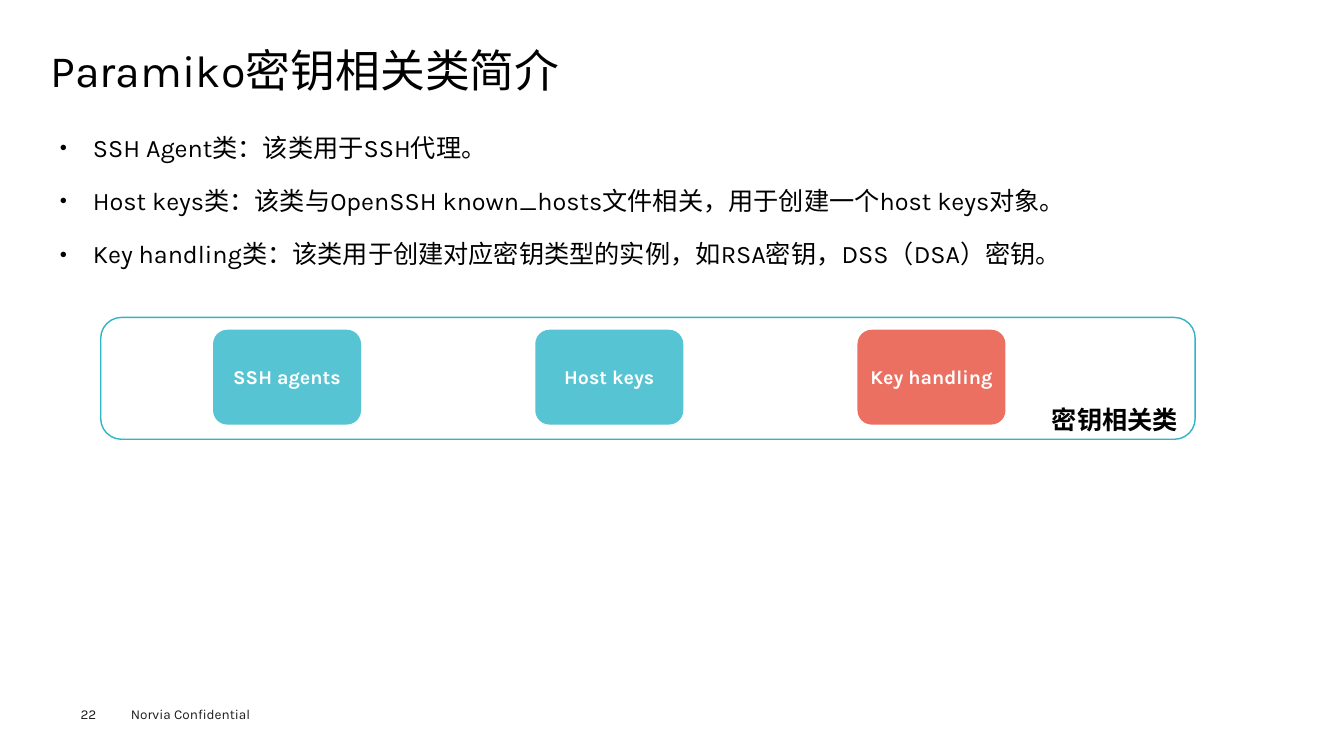
import pptx
import pptx.util
import pptx.dml.color
import pptx.enum.shapes
import pptx.enum.text
from lxml import etree
from pptx.oxml.ns import qn

Cm, Pt = pptx.util.Cm, pptx.util.Pt
ALIGN = pptx.enum.text.PP_ALIGN
ANCHOR = pptx.enum.text.MSO_ANCHOR
FONT = "Karla"
COLOURS = {
    "text": "000000",
    "footer": "1D1D1B",
    "white": "FFFFFF",
    "teal": "56C4D2",
    "coral": "EC7061",
    "frame": "30B5C5",
}
POINTS = [
    "SSH Agent类：该类用于SSH代理。",
    "Host keys类：该类与OpenSSH known_hosts文件相关，用于创建一个host keys对象。",
    "Key handling类：该类用于创建对应密钥类型的实例，如RSA密钥，DSS（DSA）密钥。",
]
KEY_CLASSES = [("SSH agents", "teal"), ("Host keys", "teal"), ("Key handling", "coral")]


def colour(name):
    return pptx.dml.color.RGBColor.from_string(COLOURS[name])


def place(shape, left, top, width, height):
    shape.left, shape.top = Cm(left), Cm(top)
    shape.width, shape.height = Cm(width), Cm(height)


def prepare_frame(shape, side=0, edge=0, anchor=ANCHOR.TOP):
    """Set margins (cm), wrapping and anchor, and return the text frame."""
    frame = shape.text_frame
    frame.word_wrap = True
    frame.auto_size = pptx.enum.text.MSO_AUTO_SIZE.NONE
    frame.vertical_anchor = anchor
    frame.margin_left = frame.margin_right = Cm(side)
    frame.margin_top = frame.margin_bottom = Cm(edge)
    return frame


def add_span(para, text, size, colour_name="text", bold=False):
    span = para.add_run()
    span.text = text
    span.font.name = FONT
    span.font.size = Pt(size)
    span.font.bold = bold
    span.font.color.rgb = colour(colour_name)


def add_bullet(para, char, percent, indent):
    properties = para._p.get_or_add_pPr()
    properties.set("marL", str(Cm(indent)))
    properties.set("indent", str(-Cm(indent)))
    size = etree.SubElement(properties, qn("a:buSzPct"))
    size.set("val", str(percent * 1000))
    etree.SubElement(properties, qn("a:buChar")).set("char", char)


def fill_title(title, text):
    place(title, 1.27, 1.24, 31.37, 1.35)
    para = prepare_frame(title).paragraphs[0]
    para.alignment = ALIGN.LEFT
    para.line_spacing = 0.9
    add_span(para, text, 32)


def fill_list(body, points):
    place(body, 1.27, 2.92, 31.37, 13.56)
    frame = prepare_frame(body, 0.23, 0.1)
    for index, point in enumerate(points):
        para = frame.add_paragraph() if index else frame.paragraphs[0]
        add_bullet(para, "●", 50, 0.84)
        para.alignment = ALIGN.JUSTIFY
        para.line_spacing = 1.4
        para.space_before = Pt(7.9 if index else 0)
        add_span(para, point, 18)


def add_label(page, text, bounds, size, colour_name="text", bold=False, side=0.25, edge=0.13):
    box = page.shapes.add_textbox(*map(Cm, bounds))
    para = prepare_frame(box, side, edge).paragraphs[0]
    add_span(para, text, size, colour_name, bold)


def add_rounded(page, bounds, radius):
    kind = pptx.enum.shapes.MSO_SHAPE.ROUNDED_RECTANGLE
    shape = page.shapes.add_shape(kind, *map(Cm, bounds))
    shape.adjustments[0] = radius
    shape.shadow.inherit = False
    return shape


def add_class_card(page, name, fill, left):
    card = add_rounded(page, (left, 8.31, 3.73, 2.39), 0.15)
    card.fill.solid()
    card.fill.fore_color.rgb = colour(fill)
    card.line.fill.background()
    para = prepare_frame(card, anchor=ANCHOR.MIDDLE).paragraphs[0]
    para.alignment = ALIGN.CENTER
    add_span(para, name, 14, "white", bold=True)


def add_group_frame(page):
    outline = add_rounded(page, (2.54, 8, 27.58, 3.07), 0.17)
    outline.fill.background()
    outline.line.color.rgb = colour("frame")
    outline.line.width = Pt(1)


def main():
    deck = pptx.Presentation()
    deck.slide_width, deck.slide_height = Cm(33.87), Cm(19.05)
    page = deck.slides.add_slide(deck.slide_layouts[1])

    fill_title(page.shapes.title, "Paramiko密钥相关类简介")
    fill_list(page.placeholders[1], POINTS)

    for index, (name, fill) in enumerate(KEY_CLASSES):
        add_class_card(page, name, fill, 5.37 + 8.12 * index)
    add_group_frame(page)
    add_label(page, "密钥相关类", (26.26, 10.06, 3.84, 1.02), 18, bold=True)

    add_label(page, "Norvia Confidential", (3.05, 17.65, 4.06, 0.69), 9.7, "footer")
    add_label(page, "22", (2.03, 17.78, 1.4, 0.41), 9.7, "footer", side=0, edge=0)

    deck.save("out.pptx")


if __name__ == "__main__":
    main()
